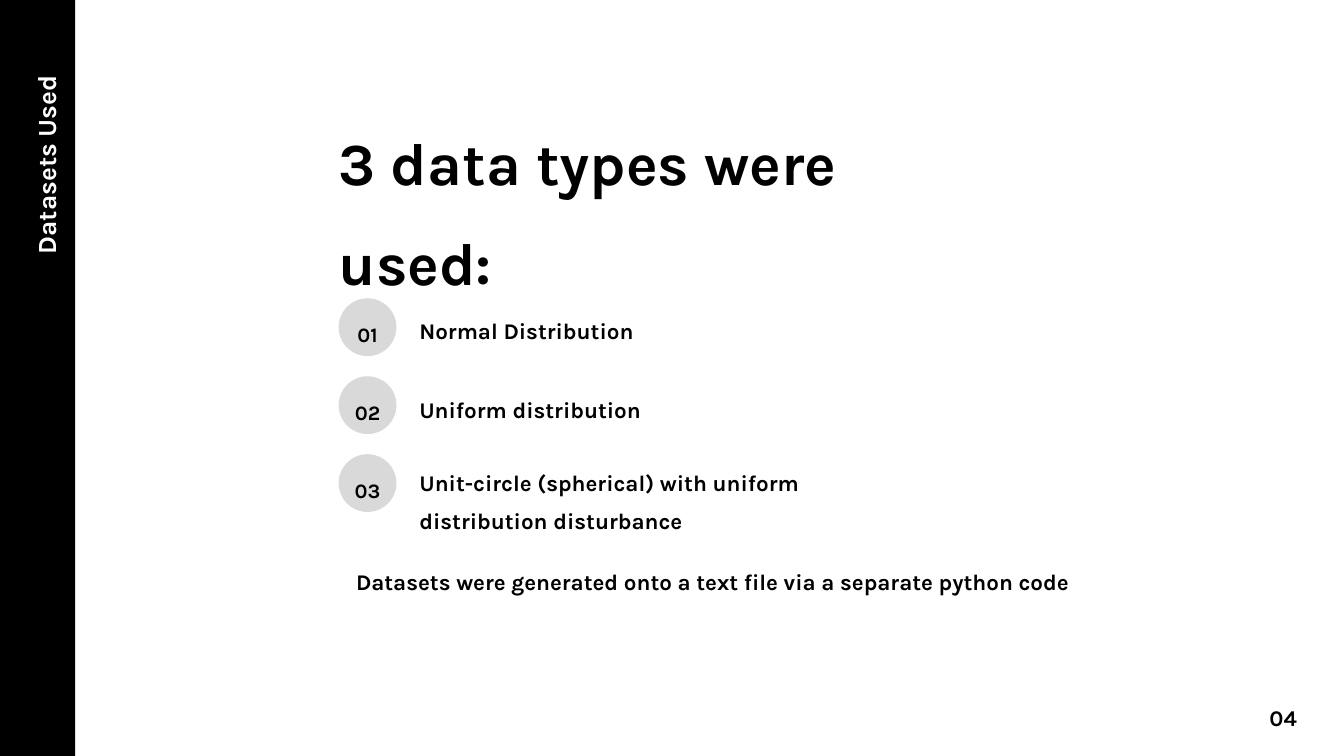
import dataclasses

import pptx
import pptx.dml.color
import pptx.enum.shapes
import pptx.enum.text
import pptx.util

Inches = pptx.util.Inches
Align = pptx.enum.text.PP_ALIGN
ShapeKind = pptx.enum.shapes.MSO_SHAPE


@dataclasses.dataclass(frozen=True)
class Theme:
    font: str = "Karla"
    black: str = "000000"
    white: str = "FFFFFF"
    badge: str = "D9D9D9"
    title_size: int = 32
    sidebar_size: int = 14
    body_size: int = 12
    number_size: int = 11
    line_spacing: float = 1.4


THEME = Theme()

SLIDE_WIDTH = 10
SLIDE_HEIGHT = SLIDE_WIDTH * 9 / 16
DATA_TYPES = [
    ("Normal Distribution", 2.28, 3.14, 0.2, Align.JUSTIFY),
    ("Uniform distribution", 2.87, 3.14, 0.2, Align.JUSTIFY),
    ("Unit-circle (spherical) with uniform distribution disturbance",
     3.41, 3.59, 0.48, Align.LEFT),
]
BADGE_LEFT = 2.52
BADGE_TOP = 2.22
BADGE_SIZE = 0.43
BADGE_STEP = 0.58


def color(value):
    return pptx.dml.color.RGBColor.from_string(value)


def add_filled_shape(slide, kind, left, top, width, height, fill):
    shape = slide.shapes.add_shape(
        kind, Inches(left), Inches(top), Inches(width), Inches(height))
    shape.shadow.inherit = False
    shape.fill.solid()
    shape.fill.fore_color.rgb = color(fill)
    shape.line.fill.background()
    return shape


def add_text(slide, text, left, top, width, height, size=THEME.body_size,
             align=Align.LEFT, text_color=THEME.black):
    box = slide.shapes.add_textbox(
        Inches(left), Inches(top), Inches(width), Inches(height))
    frame = box.text_frame
    frame.margin_left = frame.margin_right = 0
    frame.margin_top = frame.margin_bottom = 0
    frame.word_wrap = True
    frame.auto_size = pptx.enum.text.MSO_AUTO_SIZE.SHAPE_TO_FIT_TEXT
    paragraph = frame.paragraphs[0]
    paragraph.alignment = align
    paragraph.line_spacing = THEME.line_spacing
    run = paragraph.add_run()
    run.text = text
    run.font.name = THEME.font
    run.font.size = pptx.util.Pt(size)
    run.font.bold = True
    run.font.color.rgb = color(text_color)
    return box


def add_sidebar(slide):
    add_filled_shape(slide, ShapeKind.RECTANGLE, 0, 0, 0.56, SLIDE_HEIGHT,
                     THEME.black)
    label = add_text(slide, "Datasets Used", -0.73, 1.42, 1.99, 0.27,
                     THEME.sidebar_size, Align.RIGHT, THEME.white)
    label.rotation = 270


def add_data_type(slide, index, text, top, width, height, align):
    badge_top = BADGE_TOP + index * BADGE_STEP
    add_filled_shape(slide, ShapeKind.OVAL, BADGE_LEFT, badge_top,
                     BADGE_SIZE, BADGE_SIZE, THEME.badge)
    add_text(slide, f"{index + 1:02d}", BADGE_LEFT + 0.08, badge_top + 0.1,
             0.27, 0.19, THEME.number_size, Align.CENTER)
    add_text(slide, text, 3.12, top, width, height, align=align)


def main():
    presentation = pptx.Presentation()
    presentation.slide_width = Inches(SLIDE_WIDTH)
    presentation.slide_height = Inches(SLIDE_HEIGHT)
    slide = presentation.slides.add_slide(presentation.slide_layouts[6])
    slide.background.fill.solid()
    slide.background.fill.fore_color.rgb = color(THEME.white)

    add_sidebar(slide)
    add_text(slide, "3 data types were used:", 2.52, 0.72, 3.72, 1.29,
             THEME.title_size)
    for index, data_type in enumerate(DATA_TYPES):
        add_data_type(slide, index, *data_type)
    add_text(slide,
             "Datasets were generated onto a text file via a separate python code",
             2.6, 4.15, 5.41, 0.2, align=Align.CENTER)
    add_text(slide, "04", 9.23, 5.16, 0.42, 0.23, align=Align.RIGHT)
    presentation.save("out.pptx")


if __name__ == "__main__":
    main()
